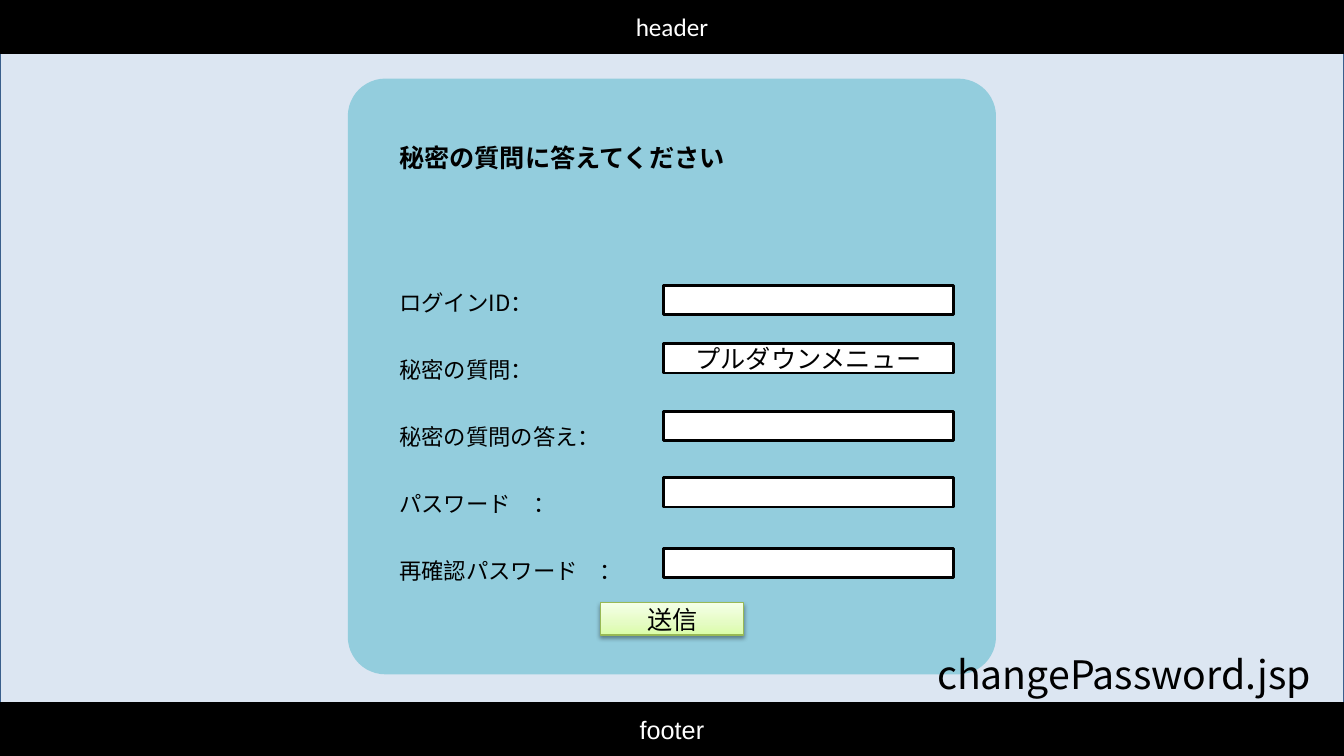
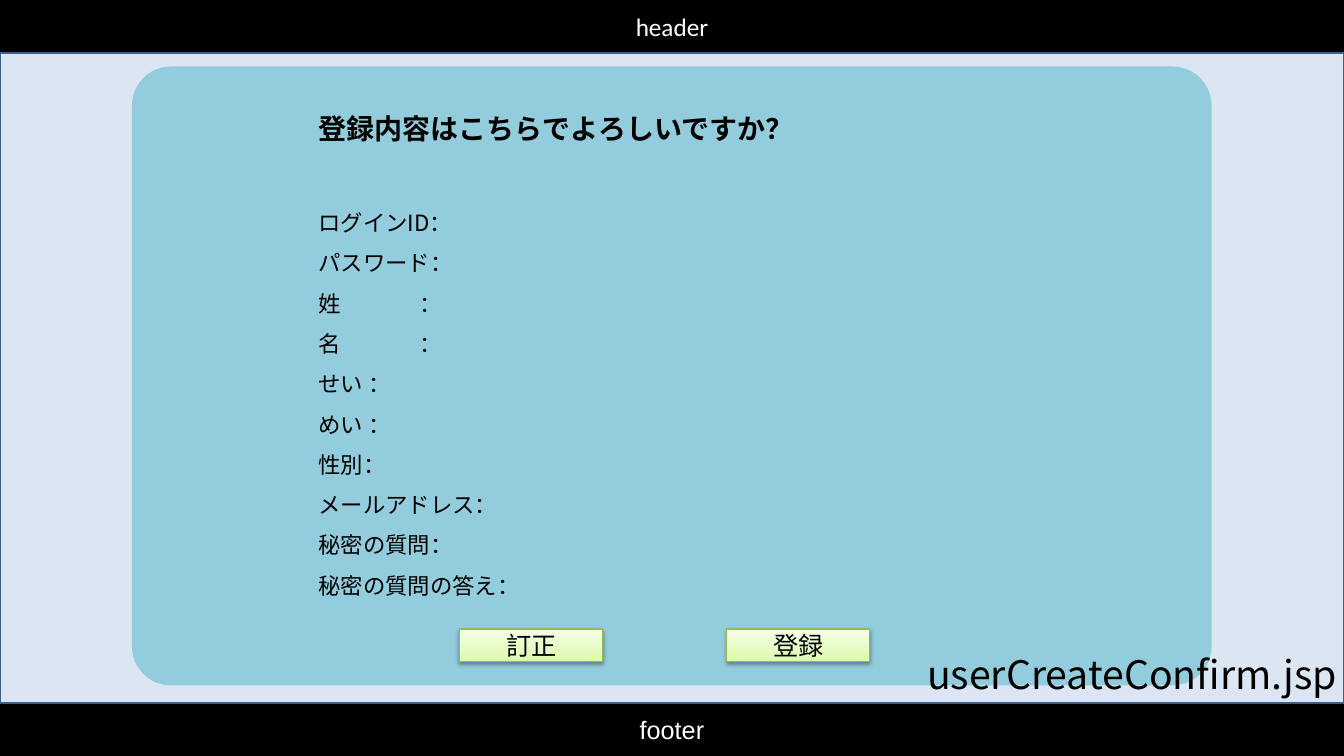
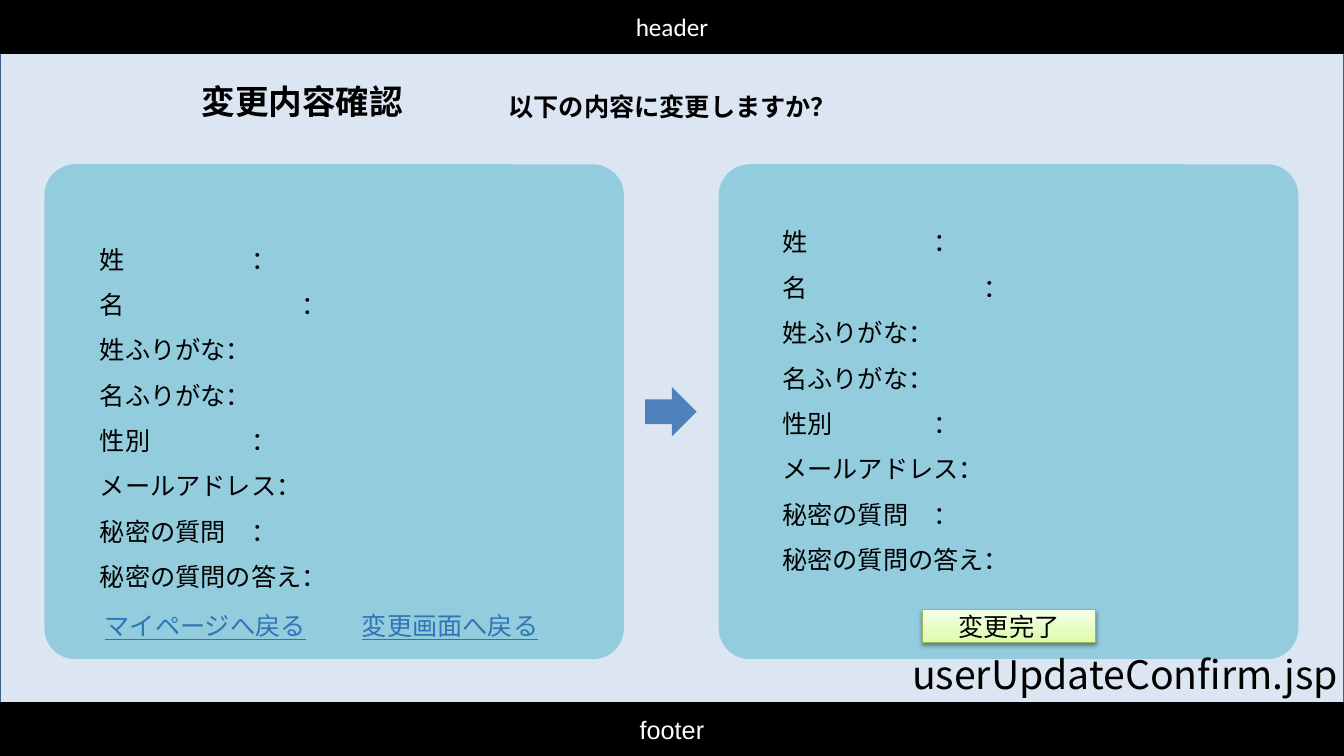
from dataclasses import dataclass
from typing import NamedTuple

from lxml import etree
from pptx import Presentation
from pptx.dml.color import RGBColor
from pptx.enum.shapes import MSO_SHAPE
from pptx.enum.text import MSO_ANCHOR, MSO_AUTO_SIZE, PP_ALIGN
from pptx.oxml.ns import qn
from pptx.util import Inches, Pt

RECT, ROUND, ARROW = MSO_SHAPE.RECTANGLE, MSO_SHAPE.ROUNDED_RECTANGLE, MSO_SHAPE.RIGHT_ARROW
LEFT, CENTER = PP_ALIGN.LEFT, PP_ALIGN.CENTER
TOP, MIDDLE = MSO_ANCHOR.TOP, MSO_ANCHOR.MIDDLE
FIXED = MSO_AUTO_SIZE.NONE

# Shared look
WIDE, HIGH = Inches(13.333), Inches(7.5)
BLACK, WHITE = "000000", "FFFFFF"
PALE, EDGE, CARD, BLUE, LINK = "DCE6F2", "3A5F8C", "93CDDD", "4F81BD", "2E75B6"
GREEN, GLOW = "98B955", ((0, "DAFDA7"), (35, "E4FCC2"), (100, "F5FFE7"))
SANS = "Noto Sans CJK JP"
BAND = 7
LEAD = 1.2


class Box(NamedTuple):
    """Left, top, width and height as percent of the slide."""
    x: float
    y: float
    w: float
    h: float


@dataclass
class Style:
    size: float = 18
    font: str = SANS
    color: str = BLACK
    bold: bool = False
    under: bool = False
    align: PP_ALIGN = LEFT
    lines: float = 0


@dataclass
class Row:
    label: str
    stop: float = 0


def paint(code: str) -> RGBColor:
    return RGBColor.from_string(code)


def spot(box: Box) -> tuple[int, int, int, int]:
    return (int(WIDE * box.x / 100), int(HIGH * box.y / 100),
            int(WIDE * box.w / 100), int(HIGH * box.h / 100))


def sub(node, tag: str, **attrs):
    return etree.SubElement(node, qn(tag), attrs)


# Text
def dress(para, style: Style) -> None:
    para.alignment = style.align
    para.space_before = para.space_after = Pt(0)
    if style.lines:
        para.line_spacing = Pt(style.size * LEAD * style.lines)
    for run in para.runs:
        font = run.font
        font.size, font.name = Pt(style.size), style.font
        font.bold, font.underline = style.bold, style.under
        font.color.rgb = paint(style.color)
        east = etree.Element(qn("a:ea"), typeface=style.font)
        font._element.find(qn("a:latin")).addnext(east)


def write(shape, text: str, style: Style, anchor: MSO_ANCHOR = TOP) -> None:
    frame = shape.text_frame
    frame.word_wrap, frame.auto_size = True, FIXED
    frame.vertical_anchor = anchor
    frame.text = text
    for para in frame.paragraphs:
        dress(para, style)


def label(slide, box: Box, text: str, style: Style):
    shape = slide.shapes.add_textbox(*spot(box))
    write(shape, text, style)
    return shape


# Placeholders, raised above the cards
def place(slide, key: int, box: Box):
    shape = slide.placeholders[key]
    shape.left, shape.top, shape.width, shape.height = spot(box)
    tree = shape.element.getparent()
    tree.append(shape.element)
    return shape


def title(slide, box: Box, text: str, style: Style) -> None:
    write(place(slide, 0, box), text, style)


def fields(slide, key: int, box: Box, rows: list[Row], style: Style) -> None:
    shape = place(slide, key, box)
    shape.fill.solid()
    shape.fill.fore_color.rgb = paint(CARD)
    write(shape, "\n".join(row.label for row in rows), style)
    for row, para in zip(rows, shape.text_frame.paragraphs):
        props = para._p.get_or_add_pPr()
        props.set("marL", "0")
        props.set("indent", "0")
        sub(props, "a:buNone")
        if row.stop:
            # The default step must match, as it can outrank the listed stop
            width = str(Inches(row.stop))
            props.set("defTabSz", width)
            sub(sub(props, "a:tabLst"), "a:tab", pos=width, algn="l")


# Shapes
def block(slide, box: Box, fill: str, line: str = "", kind: MSO_SHAPE = RECT):
    shape = slide.shapes.add_shape(kind, *spot(box))
    shape.shadow.inherit = False
    shape.fill.solid()
    shape.fill.fore_color.rgb = paint(fill)
    if line:
        shape.line.color.rgb = paint(line)
        shape.line.width = Pt(2)
    else:
        shape.line.fill.background()
    return shape


def card(slide, box: Box) -> None:
    block(slide, box, CARD, kind=ROUND).adjustments[0] = 0.063


def entry(slide, box: Box, text: str = "") -> None:
    shape = block(slide, box, WHITE, BLACK)
    if text:
        tight(shape, text)


def tight(shape, text: str) -> None:
    write(shape, text, Style(align=CENTER), MIDDLE)
    frame = shape.text_frame
    frame.margin_top = frame.margin_bottom = 0


def button(slide, x: float, y: float, text: str, w: float = 10.65) -> None:
    shape = block(slide, Box(x, y, w, 4.27), WHITE, GREEN)
    shape.line.width = Pt(0.75)
    shape.fill.gradient()
    shape.fill.gradient_angle = 90
    props = shape.element.spPr
    stops = props.find(".//" + qn("a:gsLst"))
    for old in list(stops):
        stops.remove(old)
    for pos, code in GLOW:
        stop = sub(stops, "a:gs", pos=str(pos * 1000))
        sub(stop, "a:srgbClr", val=code)
    shade = sub(props.find(qn("a:effectLst")), "a:outerShdw", blurRad=str(Pt(3.1)),
                dist=str(Pt(1.6)), dir="5400000", rotWithShape="0")
    sub(sub(shade, "a:srgbClr", val=BLACK), "a:alpha", val="38000")
    tight(shape, text)


# Frame of every slide
def stage(slide) -> None:
    block(slide, Box(0, BAND, 100, 100 - 2 * BAND), PALE, EDGE)


def bands(slide) -> None:
    for y, text, font in ((0, "header", "Calibri"), (100 - BAND, "footer", "Arial")):
        band = block(slide, Box(0, y, 100, BAND), BLACK, BLACK)
        write(band, text, Style(font=font, color=WHITE, align=CENTER), MIDDLE)


def name(slide, x: float, text: str) -> None:
    shape = label(slide, Box(x, 85.33, 100 - x, 7.6), text, Style(28))
    shape.text_frame.margin_right = 0


deck = Presentation()
deck.slide_width, deck.slide_height = WIDE, HIGH
SINGLE, DOUBLE = deck.slide_layouts[1], deck.slide_layouts[3]

# Slide 1: change of password
slide = deck.slides.add_slide(SINGLE)
stage(slide)
card(slide, Box(25.88, 10.4, 48.23, 78.8))
bands(slide)
name(slide, 69, "changePassword.jsp")
title(slide, Box(28.95, 18.1, 42, 5.33), "秘密の質問に答えてください", Style(bold=True, lines=1))
asks = ["ログインID：", "秘密の質問：", "秘密の質問の答え：", "パスワード　：", "再確認パスワード　："]
fields(slide, 1, Box(28.95, 32.2, 42, 45.7), [Row(ask) for ask in asks], Style(16, lines=2.5))
hints = {45.47: "プルダウンメニュー"}
for y in (37.73, 45.47, 54.4, 63.2, 72.53):
    entry(slide, Box(49.35, y, 21.6, 3.87), hints.get(y, ""))
button(slide, 44.7, 79.73, "送信")

# Slide 2: check before sign-up
slide = deck.slides.add_slide(SINGLE)
bands(slide)
stage(slide)
card(slide, Box(9.82, 8.8, 80.33, 81.87))
title(slide, Box(22.95, 14.13, 58.58, 5.73), "登録内容はこちらでよろしいですか？",
      Style(20, bold=True, lines=1))
rows = [Row("ログインID："), Row("パスワード："), Row("姓\t：", 1), Row("名\t：", 1),
        Row("せい ："), Row("めい ："), Row("性別："), Row("メールアドレス："),
        Row("秘密の質問："), Row("秘密の質問の答え：")]
fields(slide, 1, Box(22.95, 25.2, 58.58, 54.7), rows, Style(16, lines=1.5))
for x, text in ((34.2, "訂正"), (54.08, "登録")):
    button(slide, x, 83.2, text)
name(slide, 68.25, "userCreateConfirm.jsp")

# Slide 3: check before update
slide = deck.slides.add_slide(DOUBLE)
stage(slide)
for x in (53.48, 3.3):
    card(slide, Box(x, 21.73, 43.13, 65.47))
bands(slide)
name(slide, 67.13, "userUpdateConfirm.jsp")
title(slide, Box(3.3, 10, 38.4, 6.67), "変更内容確認",
      Style(24, bold=True, align=CENTER, lines=1))
label(slide, Box(36.9, 11.47, 26.25, 5.33), "以下の内容に変更しますか？",
      Style(bold=True, align=CENTER, lines=1))
rows = [Row("姓\t：", 1.5), Row("名\t：", 2), Row("姓ふりがな："), Row("名ふりがな："),
        Row("性別\t：", 1.5), Row("メールアドレス："), Row("秘密の質問\t：", 1.5),
        Row("秘密の質問の答え：")]
for key, x, y in ((1, 6.68, 29.6), (2, 57.45, 27.33)):
    fields(slide, key, Box(x, y, 36.45, 49.33), rows, Style(lines=1.5))
block(slide, Box(48, 51.2, 3.83, 6.53), BLUE, kind=ARROW)
button(slide, 68.63, 80.67, "変更完了", 12.9)
for x, text in ((6.68, "マイページへ戻る"), (24.9, "変更画面へ戻る")):
    label(slide, Box(x, 80.13, 17.18, 5.33), text,
          Style(color=LINK, under=True, align=CENTER))

deck.save("out.pptx")
